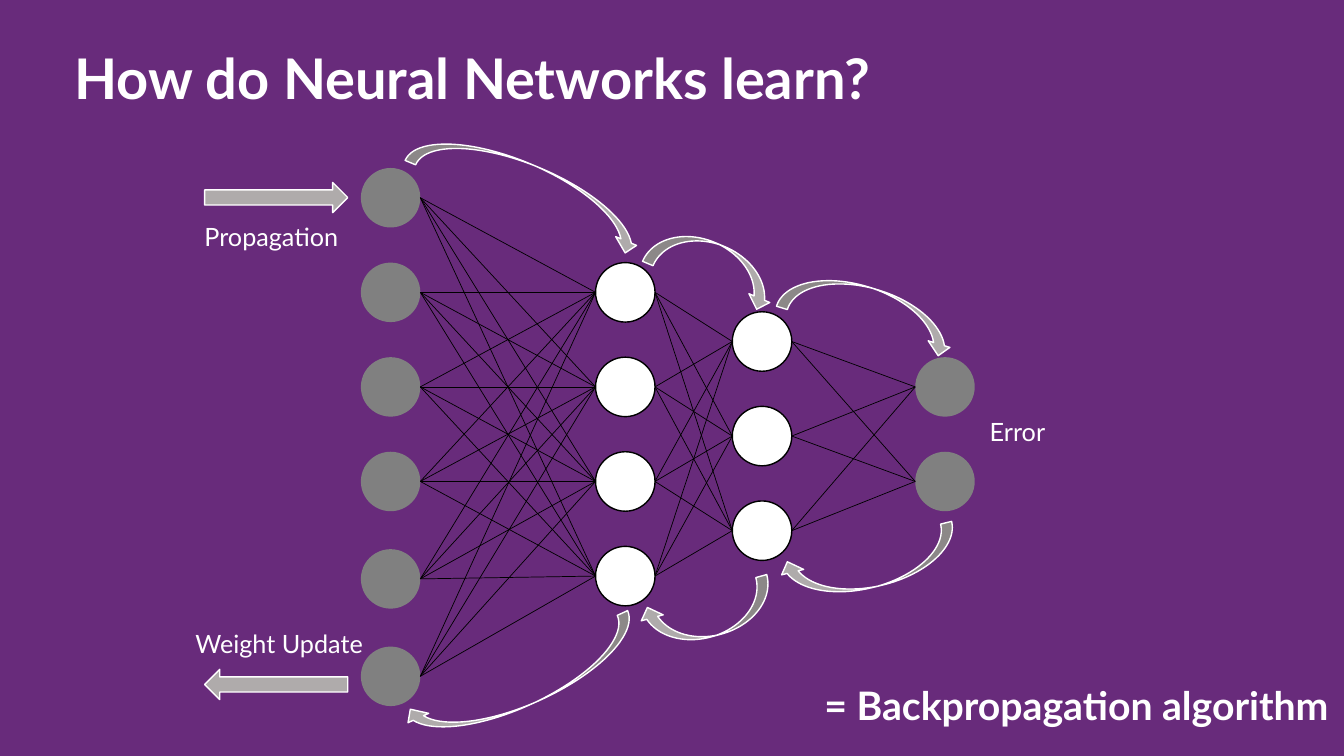
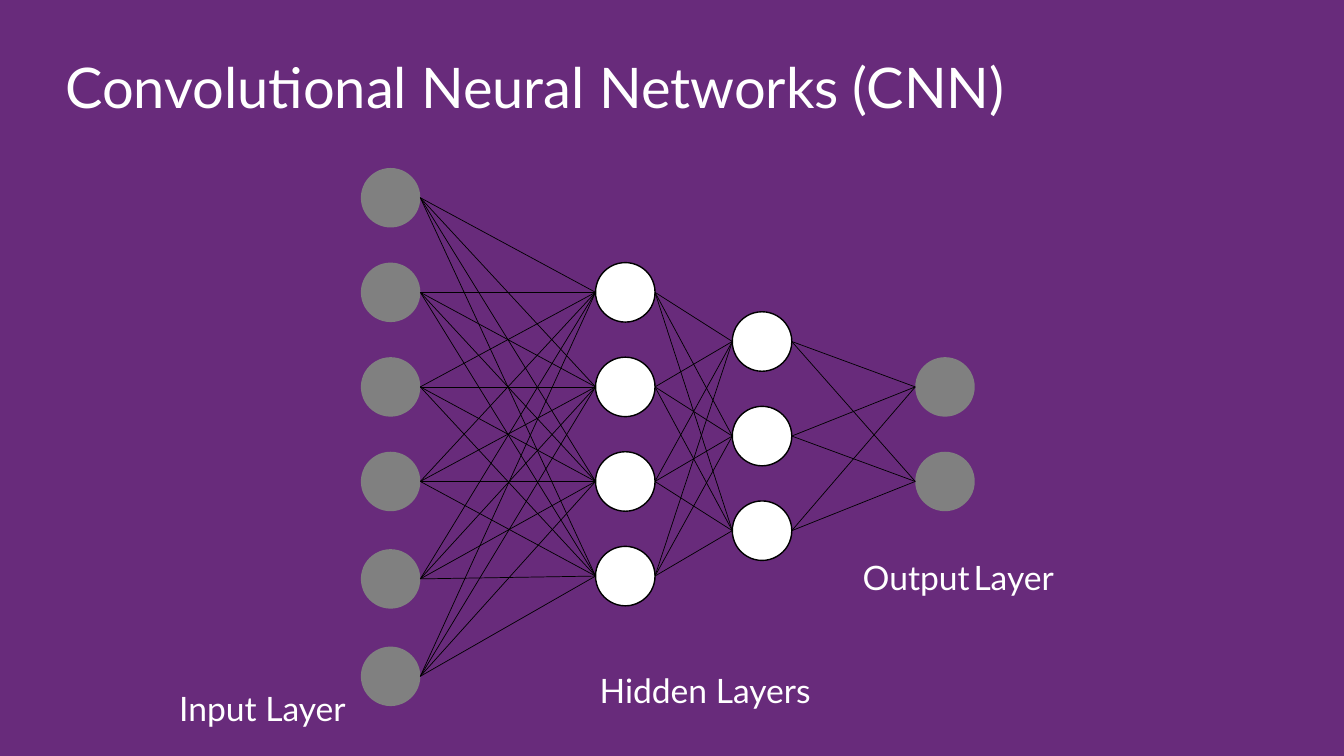
from itertools import pairwise, product

from lxml import etree
from pptx import Presentation
from pptx.dml.color import RGBColor
from pptx.enum.shapes import MSO_CONNECTOR, MSO_SHAPE
from pptx.enum.text import MSO_ANCHOR
from pptx.oxml.ns import qn
from pptx.util import Inches, Pt

OVAL = MSO_SHAPE.OVAL
RIGHT_ARROW = MSO_SHAPE.RIGHT_ARROW
CURVED_ARROW = MSO_SHAPE.CURVED_DOWN_ARROW
STRAIGHT = MSO_CONNECTOR.STRAIGHT
TOP = MSO_ANCHOR.TOP

COLUMNS, ROWS = 80, 45
CELLS_PER_INCH = 6
BLANK_LAYOUT = 6

PURPLE = "682B7B"
WHITE = "FFFFFF"
BLACK = "000000"
NODE_GRAY = "808080"
ARROW_GRAY = "AFABAB"
FONT = "Lato"

NODE_SIZE = 3.54
FIRST_ROW = 11.77
NODE_PITCH = 5.63
LAYERS = [
    (23.25, (0, 1, 2, 3, 4.03, 5.06), NODE_GRAY, None),
    (37.22, (1, 2, 3, 4), WHITE, BLACK),
    (45.36, (1.52, 2.52, 3.52), WHITE, BLACK),
    (56.25, (2, 3), NODE_GRAY, None),
]

ARROW_LEFT, ARROW_WIDTH, ARROW_HEIGHT = 12.18, 8.52, 1.8
CURVE_HEIGHT = 2.7
CURVES = [
    (24.06, 9.84, 14.88, 22.8),
    (38.46, 14.52, 8.04, 22.8),
    (46.38, 17.16, 10.74, 17),
    (46.38, 32.28, 10.74, 166.2),
    (38.1, 35.22, 8.04, 164.6),
    (23.7, 39.3, 14.88, 155.6),
]


def color(value):
    return RGBColor.from_string(value)


def cells(*counts):
    return [Inches(count / CELLS_PER_INCH) for count in counts]


def add_text(slide, content, place, line_spacing=1.0, **text_format):
    frame = slide.shapes.add_textbox(*cells(*place)).text_frame
    frame.word_wrap = True
    frame.vertical_anchor = TOP
    paragraph = frame.paragraphs[0]
    paragraph.line_spacing = line_spacing
    pieces = [(content, {})] if isinstance(content, str) else content
    for words, changes in pieces:
        style = {"size": 18, "font": FONT, "fill": WHITE, "bold": False}
        style.update(text_format)
        style.update(changes)
        run = paragraph.add_run()
        run.text = words
        run.font.name = style["font"]
        run.font.size = Pt(style["size"])
        run.font.bold = style["bold"]
        run.font.color.rgb = color(style["fill"])


def add_figure(slide, kind, place, fill, line=None, rotation=0):
    shape = slide.shapes.add_shape(kind, *cells(*place))
    shape.shadow.inherit = False
    shape.fill.solid()
    shape.fill.fore_color.rgb = color(fill)
    if line:
        shape.line.color.rgb = color(line)
        shape.line.width = Pt(1)
    else:
        shape.line.fill.background()
    shape.rotation = rotation


def add_link(slide, start, end):
    connector = slide.shapes.add_connector(STRAIGHT, *cells(*start, *end))
    connector.line.color.rgb = color(BLACK)
    connector.line.width = Pt(0.5)
    properties = connector._element.find(qn("p:spPr"))
    etree.SubElement(properties, qn("a:effectLst"))


def node_row(level):
    return FIRST_ROW + level * NODE_PITCH


def add_network(slide):
    radius = NODE_SIZE / 2
    for column, levels, fill, line in LAYERS:
        for level in levels:
            place = (column - radius, node_row(level) - radius, NODE_SIZE, NODE_SIZE)
            add_figure(slide, OVAL, place, fill, line)
    for source, target in pairwise(LAYERS):
        for start, end in product(source[1], target[1]):
            add_link(
                slide,
                (source[0] + radius, node_row(start)),
                (target[0] - radius, node_row(end)),
            )


def add_network_slide(presentation, title, left, top, bold=False):
    slide = presentation.slides.add_slide(presentation.slide_layouts[BLANK_LAYOUT])
    slide.background.fill.solid()
    slide.background.fill.fore_color.rgb = color(PURPLE)
    add_text(slide, title, (left, top, 70, 16.8), line_spacing=0.9, size=40, bold=bold)
    add_network(slide)
    return slide


def build_learning(presentation):
    slide = add_network_slide(
        presentation, "How do Neural Networks learn?", 3.84, 2.76, bold=True
    )
    for top, rotation in ((10.86, 0), (39.84, 180)):
        place = (ARROW_LEFT, top, ARROW_WIDTH, ARROW_HEIGHT)
        add_figure(slide, RIGHT_ARROW, place, ARROW_GRAY, WHITE, rotation)
    for left, top, width, rotation in CURVES:
        place = (left, top, width, CURVE_HEIGHT)
        add_figure(slide, CURVED_ARROW, place, ARROW_GRAY, WHITE, rotation)
    add_text(slide, "Propagation", (11.58, 12.9, 10, 2.4))
    add_text(slide, "Weight Update", (11.04, 37.08, 12, 2.4))
    add_text(slide, "Error", (58.32, 24.48, 5, 2.4))
    add_text(
        slide, "= Backpropagation algorithm", (48.48, 40.26, 31.5, 3.42), size=28, bold=True
    )


def build_layers(presentation):
    slide = add_network_slide(presentation, "Convolutional Neural Networks (CNN)", 3.3, 3.3)
    narrow_space = (" ", {"size": 12, "font": "Calibri", "fill": BLACK, "bold": True})
    output_label = [("Output", {}), narrow_space, ("Layer", {})]
    add_text(slide, output_label, (50.76, 32.88, 16, 3), size=24)
    add_text(slide, "Input Layer", (10.08, 40.68, 12.6, 3), size=24)
    add_text(slide, "Hidden Layers", (35.1, 39.6, 16.86, 3), size=24)


def main():
    presentation = Presentation()
    presentation.slide_width, presentation.slide_height = cells(COLUMNS, ROWS)
    build_learning(presentation)
    build_layers(presentation)
    presentation.save("out.pptx")


main()
